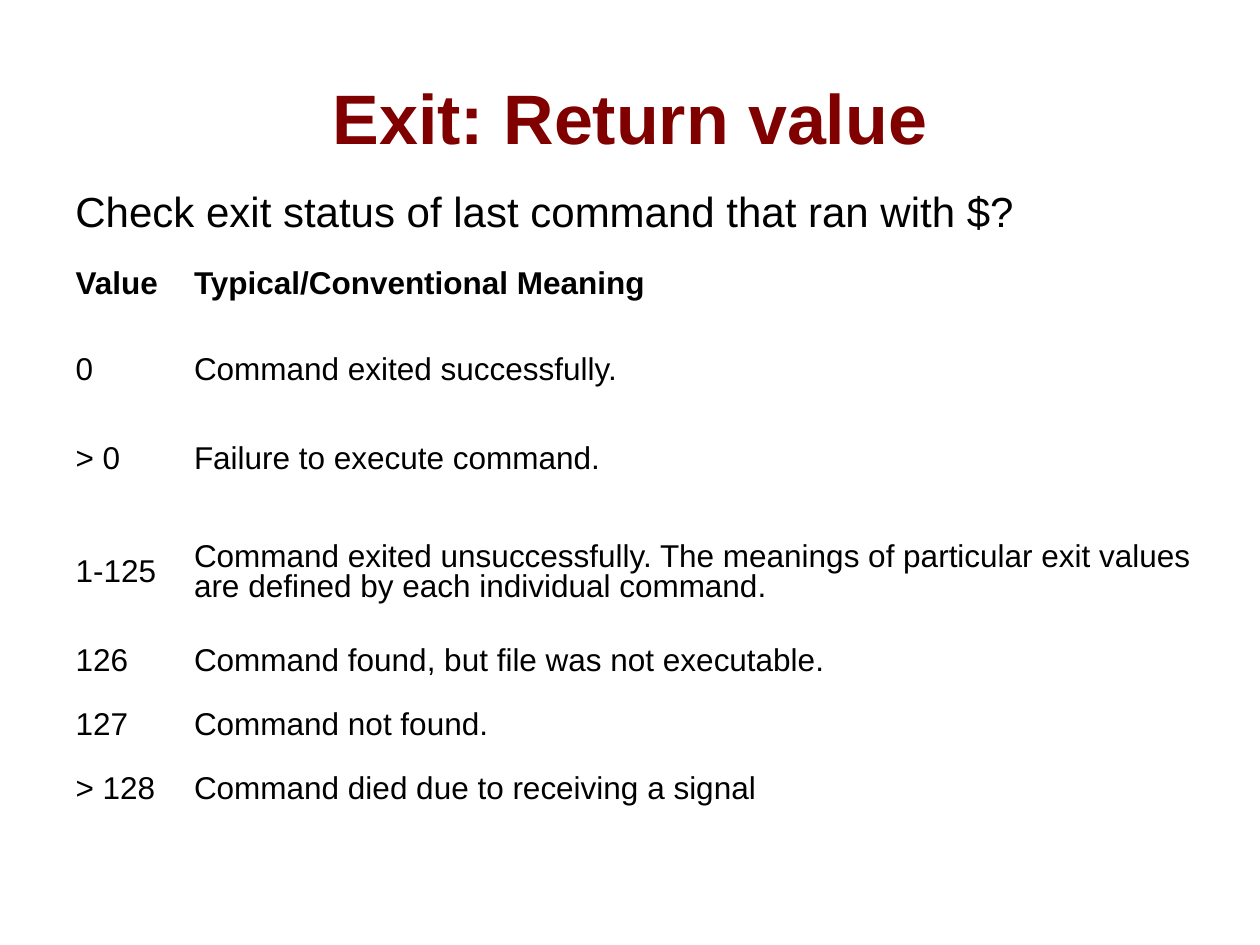
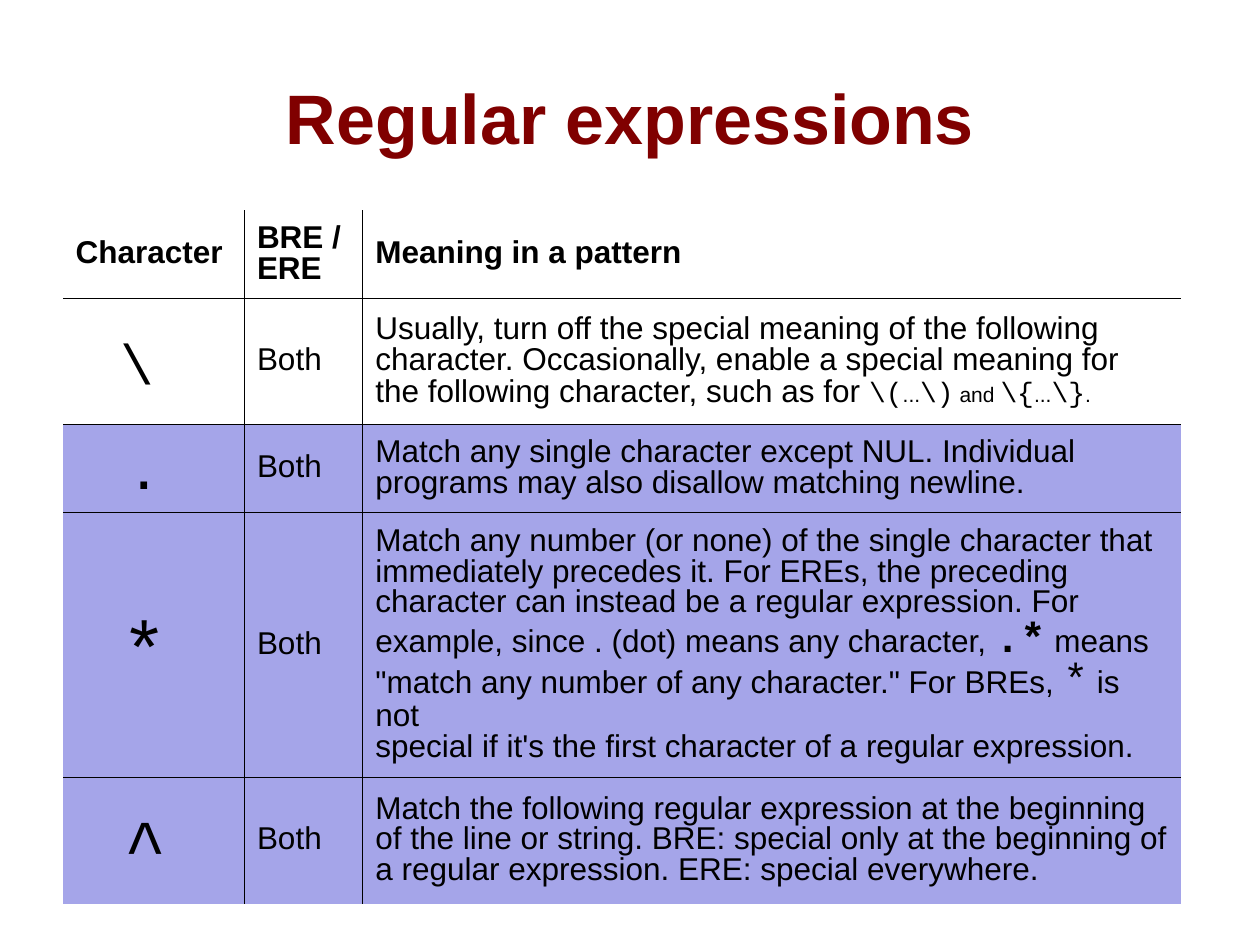
from lxml.etree import SubElement as Sub
from pptx import Presentation as Deck
from pptx.dml.color import RGBColor as Rgb
from pptx.enum.text import MSO_ANCHOR as Anchor, PP_ALIGN as Align
from pptx.oxml.ns import qn
from pptx.util import Inches, Pt

HUES = {"title": "800000", "text": "000000", "line": "000000", "band": "A5A5E9"}
SANS, MONO = "Arial", "Courier New"
PLAIN = "{2D5ABB26-0587-4C30-8999-92F81FD0307C}"


def write(frame, text, size=18, hue="text", bold=False, align=Align.LEFT, space=None):
    frame.word_wrap = True
    lines = text if isinstance(text, list) else [text]
    for i, line in enumerate(lines):
        para = frame.add_paragraph() if i else frame.paragraphs[0]
        para.alignment = align
        para.line_spacing = space
        for part in line if isinstance(line, list) else [(line,)]:
            words, pts, face, thick = part + (size, SANS, bold)[len(part) - 1:]
            run = para.add_run()
            run.text = words
            run.font.size = Pt(pts)
            run.font.name = face
            run.font.bold = thick
            run.font.color.rgb = Rgb.from_string(HUES[hue])


def rule(cell, sides):
    props = cell._tc.get_or_add_tcPr()
    for side in sides:
        line = Sub(props, qn("a:ln" + side), w=str(Pt(0.45)))
        fill = Sub(line, qn("a:solidFill"))
        Sub(fill, qn("a:srgbClr"), val=HUES["line"])


codes = [
    ["Value", "Typical/Conventional Meaning"],
    ["0", "Command exited successfully."],
    ["> 0", "Failure to execute command."],
    ["1-125", "Command exited unsuccessfully. The meanings of particular "
              "exit values are defined by each individual command."],
    ["126", "Command found, but file was not executable."],
    ["127", "Command not found."],
    ["> 128", "Command died due to receiving a signal"],
]

signs = [
    ["Character", ["BRE /", "ERE"], "Meaning in a pattern"],
    [[[("\\ ", 32, MONO)]], "Both", [
        "Usually, turn off the special meaning of the following",
        "character. Occasionally, enable a special meaning for",
        [("the following character, such as for ",),
         ("\\(", 16, MONO), ("...", 12), ("\\)", 16, MONO), (" and ", 12),
         ("\\{", 16, MONO), ("...", 12), ("\\}", 16, MONO), (".", 12)],
    ]],
    [[[(". ", 40)]], "Both", [
        "Match any single character except NUL. Individual",
        "programs may also disallow matching newline.",
    ]],
    [[[("*", 44, MONO), (" ", 36)]], "Both", [
        "Match any number (or none) of the single character that",
        "immediately precedes it. For EREs, the preceding",
        "character can instead be a regular expression. For",
        [("example, since . (dot) means any character, ",),
         (".*", 24, MONO, True), (" means",)],
        [("\"match any number of any character.\" For BREs, ",),
         ("*", 24, MONO), (" is not",)],
        [("special if it's the first character of a regular expression.",),
         (" ", 10)],
    ]],
    [[[("^", 40, MONO), (" ", 32)]], "Both", [
        "Match the following regular expression at the beginning",
        "of the line or string. BRE: special only at the beginning of",
        "a regular expression. ERE: special everywhere.",
    ]],
]

pages = [
    dict(title="Exit: Return value",
         lead="Check exit status of last command that ran with $?",
         top=1.84, wide=[0.94, 8.23], high=[0.85, 0.51, 0.9, 0.9, 0.51, 0.51, 0.51],
         cells=codes, lined=False, band=None),
    dict(title="Regular expressions", lead=None,
         top=1.67, wide=[1.44, 0.94, 6.49], high=[0.7, 1, 0.7, 2.1, 1],
         cells=signs, lined=True, band=2),
]

deck = Deck()
deck.slide_width, deck.slide_height = Inches(10), Inches(7.5)

for page in pages:
    slide = deck.slides.add_slide(deck.slide_layouts[6])
    box = slide.shapes.add_textbox(Inches(0.5), Inches(0.3), Inches(9), Inches(1.25))
    box.text_frame.vertical_anchor = Anchor.MIDDLE
    write(box.text_frame, page["title"], size=40, hue="title", bold=True, align=Align.CENTER)

    wide, high = page["wide"], page["high"]
    grid = slide.shapes.add_table(len(high), len(wide), Inches(0.5), Inches(page["top"]),
                                  Inches(sum(wide)), Inches(sum(high))).table
    grid.first_row = grid.horz_banding = False
    grid._tbl.tblPr.find(qn("a:tableStyleId")).text = PLAIN
    for col, width in zip(grid.columns, wide):
        col.width = Inches(width)
    for r, (row, height) in enumerate(zip(page["cells"], high)):
        grid.rows[r].height = Inches(height)
        for c, text in enumerate(row):
            cell = grid.cell(r, c)
            cell.vertical_anchor = Anchor.MIDDLE
            sign = page["lined"] and r > 0 and c == 0
            tall = sign and r != 2
            write(cell.text_frame, text, bold=r == 0,
                  align=Align.CENTER if sign else Align.LEFT,
                  space=1.25 if tall else 0.87)
            if page["lined"]:
                inner = {"L": c > 0, "R": c < len(wide) - 1,
                         "T": r > 0, "B": r < len(high) - 1}
                rule(cell, [side for side in inner if inner[side]])
            if page["band"] and r >= page["band"]:
                cell.fill.solid()
                cell.fill.fore_color.rgb = Rgb.from_string(HUES["band"])
            else:
                cell.fill.background()

    if page["lead"]:
        box = slide.shapes.add_textbox(Inches(0.5), Inches(1.42), Inches(7.67), Inches(0.5))
        write(box.text_frame, page["lead"], size=24)

deck.save("out.pptx")
